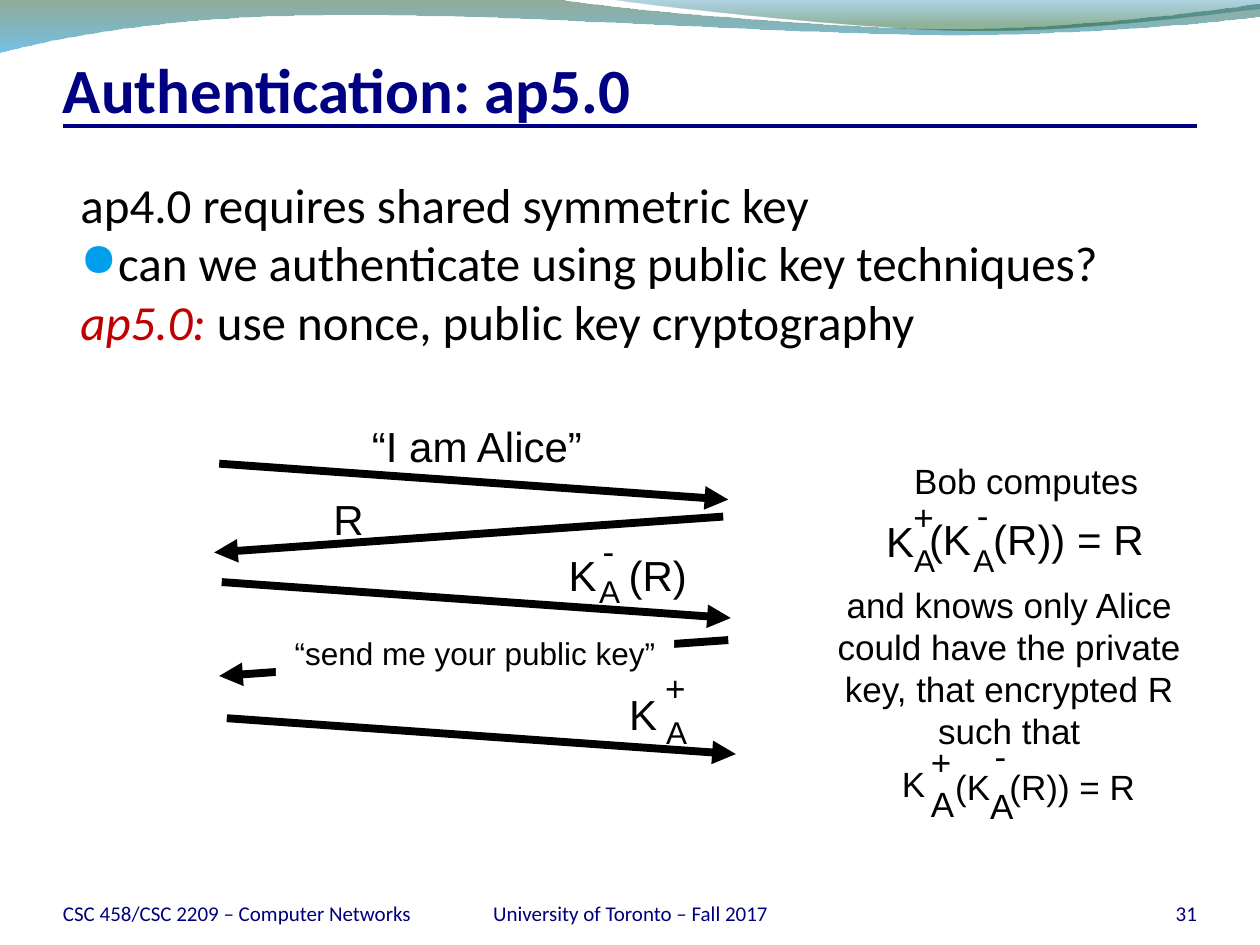
from dataclasses import dataclass
from lxml.etree import SubElement
from pptx import Presentation
from pptx.dml.color import RGBColor
from pptx.enum.shapes import MSO_CONNECTOR, MSO_SHAPE
from pptx.enum.text import MSO_ANCHOR, PP_ALIGN
from pptx.oxml.ns import qn
from pptx.util import Emu, Inches, Pt

# Grid of 100 columns by 75 rows; both kinds of cell are 0.1 inch
CELL = Inches(0.1)
COLS, ROWS = 100, 75
INK = {"black": "000000", "white": "FFFFFF", "navy": "000082", "foot": "00007C",
       "red": "C00000", "dot": "009FEC", "moss": "0F461E", "sky": "0090D6",
       "sea": "0076AF", "leaf": "0D5821"}
LEFT, MID, RIGHT = PP_ALIGN.LEFT, PP_ALIGN.CENTER, PP_ALIGN.RIGHT


@dataclass
class Run:
    text: str
    ink: str = "black"
    bold: bool = False
    slant: bool = False


@dataclass
class Para:
    runs: list[Run]
    dot: bool = False


@dataclass
class Box:
    at: tuple[float, float, float, float]
    paras: list[Para]
    size: float
    font: str = "Arial"
    align: PP_ALIGN = MID
    base: bool = False   # no margins, text at the bottom
    wrap: bool = True
    list: bool = False   # hanging indent and fixed line pitch
    fill: str = ""


@dataclass
class Key:
    """A K with the mark A below it and a sign above, then the rest."""
    head: str
    mid: tuple[float, float]
    size: float
    sign: str
    sub: tuple[float, float]
    lift: float
    small: float = 18
    rest: str = ""
    col: float = 0


@dataclass
class Msg:
    col: float
    row: float
    back: bool = False


@dataclass
class Wave:
    start: tuple[float, float]
    legs: list[tuple]              # 2 numbers: line, 6 numbers: curve
    stops: list[tuple[int, str, int]]


def grid(n: float) -> Emu:
    return Emu(round(n * CELL))


def rgb(name: str) -> RGBColor:
    return RGBColor.from_string(INK[name])


def say(text: str, **style) -> list[Para]:
    return [Para([Run(text, **style)])]


def draw_box(shapes, box: Box) -> None:
    place = [grid(n) for n in box.at]
    if box.fill:
        shape = shapes.add_shape(MSO_SHAPE.RECTANGLE, *place)
        shape.shadow.inherit = False
        shape.fill.solid()
        shape.fill.fore_color.rgb = rgb(box.fill)
        shape.line.fill.background()
    else:
        shape = shapes.add_textbox(*place)
    frame = shape.text_frame
    frame.word_wrap = box.wrap
    frame.vertical_anchor = MSO_ANCHOR.BOTTOM if box.base else MSO_ANCHOR.TOP
    if box.base:
        frame.margin_left = frame.margin_right = 0
        frame.margin_top = frame.margin_bottom = 0
    for i, para in enumerate(box.paras):
        p = frame.paragraphs[0] if i == 0 else frame.add_paragraph()
        p.alignment = box.align
        if box.list:
            p.line_spacing = Pt(box.size)
            p.space_before = Pt(0.2 * box.size if i else 0)
            props = p._p.get_or_add_pPr()
            props.set("marL", str(grid(3)))
            props.set("indent", str(-grid(3)))
            if para.dot:
                tint = SubElement(props, qn("a:buClr"))
                SubElement(tint, qn("a:srgbClr"), val=INK["dot"])
                SubElement(props, qn("a:buSzPct"), val="95000")
                SubElement(props, qn("a:buChar"), char="●")
            else:
                SubElement(props, qn("a:buNone"))
        for run in para.runs:
            r = p.add_run()
            r.text = run.text
            r.font.name, r.font.size = box.font, Pt(box.size)
            r.font.bold, r.font.italic = run.bold, run.slant
            r.font.color.rgb = rgb(run.ink)


def draw_sign(shapes, text: str, x: float, y: float, size: float) -> None:
    """Set a short text centred on a grid point."""
    wide, high = 2 + 0.08 * size * len(text), 0.8 + 0.18 * size
    draw_box(shapes, Box((x - wide / 2, y - high / 2, wide, high), say(text), size, wrap=False))


def draw_key(shapes, key: Key) -> None:
    draw_sign(shapes, key.head, *key.mid, key.size)
    draw_sign(shapes, "A", *key.sub, key.small)
    draw_sign(shapes, key.sign, key.sub[0], key.sub[1] - key.lift, 20)
    if key.rest:
        draw_sign(shapes, key.rest, key.col, key.mid[1], key.size)


def draw_line(shapes, ends: tuple, ink: str, width: float, arrow: bool = False) -> None:
    line = shapes.add_connector(MSO_CONNECTOR.STRAIGHT, *[grid(n) for n in ends])
    line.line.color.rgb = rgb(ink)
    line.line.width = Pt(width)
    if arrow:
        SubElement(line.line._get_or_add_ln(), qn("a:tailEnd"), type="triangle")
    SubElement(line._element.spPr, qn("a:effectLst"))


def draw_msg(shapes, msg: Msg) -> None:
    ends = [msg.col, msg.col + 40.4]
    if msg.back:
        ends.reverse()
    draw_line(shapes, (ends[0], msg.row, ends[1], msg.row + 2.85), "black", 4.5, True)


def draw_wave(shapes, wave: Wave) -> None:
    pts = [wave.start]
    for leg in wave.legs:
        if len(leg) == 2:
            pts.append(leg)
            continue
        a, b, c, d = pts[-1], leg[:2], leg[2:4], leg[4:]
        for t in (n / 16 for n in range(1, 17)):
            u = 1 - t
            pts.append(tuple(u**3 * a[k] + 3 * u * u * t * b[k] + 3 * u * t * t * c[k]
                             + t**3 * d[k] for k in (0, 1)))
    pts = [(grid(x), grid(y)) for x, y in pts]
    pen = shapes.build_freeform(*pts[0])
    pen.add_line_segments(pts[1:], close=True)
    shape = pen.convert_to_shape()
    shape.shadow.inherit = False
    shape.line.fill.background()
    shape.fill.gradient()
    grad = shape._element.spPr.find(qn("a:gradFill"))
    for part in list(grad):
        grad.remove(part)
    stops = SubElement(grad, qn("a:gsLst"))
    for pos, ink, alpha in wave.stops:
        stop = SubElement(stops, qn("a:gs"), pos=str(pos * 1000))
        tint = SubElement(stop, qn("a:srgbClr"), val=INK[ink])
        SubElement(tint, qn("a:alpha"), val=str(alpha * 1000))
    SubElement(grad, qn("a:lin"), ang="5400000", scaled="0")


WAVES = [
    Wave((0, -0.1), [(44, -0.1), (47.6, 0.6, 66.4, 2.3, 75.8, 2.3),
                     (85.3, 2.3, 95.8, 0.9, 100, 0.3), (100.1, 1.3),
                     (98.3, 1.6, 87, 2.8, 74.6, 2.8), (62.2, 2.7, 38.2, 1, 25.7, 1.2),
                     (12.9, 1.3, 4.6, 3, -0.1, 4.2)],
         [(0, "moss", 45), (100, "sky", 55)]),
    Wave((47.9, -0.1), [(50.9, 0.4, 68.2, 2.3, 76.9, 2.4),
                        (85.6, 2.5, 96.1, 1.1, 100, 0.7), (100, -0.1)],
         [(0, "sea", 30), (80, "leaf", 45)]),
]
BODY = [
    Para([Run("ap4.0 requires shared symmetric key")]),
    Para([Run("can we authenticate using public key techniques?")], dot=True),
    Para([Run("ap5.0: ", "red", slant=True), Run("use nonce, public key cryptography")]),
]
FEET = [(5, 28.3, LEFT, "CSC 458/CSC 2209 – Computer Networks"),
        (34.2, 31.7, MID, "University of Toronto – Fall 2017"),
        (86.7, 8.3, RIGHT, "31")]
TEXTS = [
    Box((5, 3.3, 90, 6.7), say("Authentication: ap5.0", ink="navy", bold=True),
        36, "Calibri", LEFT, base=True),
    Box((5.4, 14.1, 91.4, 50.8), BODY, 28, "Calibri", LEFT, list=True),
    *[Box((x, 69.5, w, 4), say(text, ink="foot"), 12, "Calibri", side, base=True)
      for x, w, side, text in FEET],
    Box((28.4, 32.9, 18.9, 5.1), say("“I am Alice”"), 24, wrap=False),
    Box((25.4, 38.7, 4.5, 5.1), say("R"), 24, wrap=False),
    Box((21.9, 49.8, 31.6, 4), say("“send me your public key”"), 18, wrap=False, fill="white"),
    Box((68.7, 36, 25.5, 8.3), say("Bob computes"), 20),
    Box((63.5, 45.8, 33.2, 14.3), say("and knows only Alice could have the private key, "
                                      "that encrypted R such that"), 20),
]
MSGS = [Msg(17.4, 36.8), Msg(17, 41, True), Msg(17.6, 46.2),
        Msg(17.4, 50.8, True), Msg(18, 57)]
KEYS = [
    Key("K", (46.1, 45.7), 24, "-", (48.3, 46.9), 3.2, rest="(R)", col=52.2),
    Key("K", (50.9, 56.7), 24, "+", (53.6, 58.1), 3.5),
    Key("K", (71.3, 43), 24, "+", (73.3, 44.5), 3.5),
    Key("(K", (75.4, 42.8), 24, "-", (78, 44.5), 3.6, rest="(R)) = R", col=84.8),
    Key("K", (72.4, 62.2), 20, "+", (74.7, 63.8), 3.3, 20),
    Key("(K", (77.2, 62.5), 20, "-", (79.4, 64), 4, 20, "(R)) = R", 85.1),
]


def main() -> None:
    deck = Presentation()
    deck.slide_width, deck.slide_height = grid(COLS), grid(ROWS)
    shapes = deck.slides.add_slide(deck.slide_layouts[6]).shapes
    # Header waves and title rule
    for wave in WAVES:
        draw_wave(shapes, wave)
    draw_line(shapes, (5, 10, 95, 10), "navy", 2.25)
    # Messages, then the words over them
    for msg in MSGS:
        draw_msg(shapes, msg)
    for box in TEXTS:
        draw_box(shapes, box)
    # Key formulas
    for key in KEYS:
        draw_key(shapes, key)
    deck.save("out.pptx")


if __name__ == "__main__":
    main()
